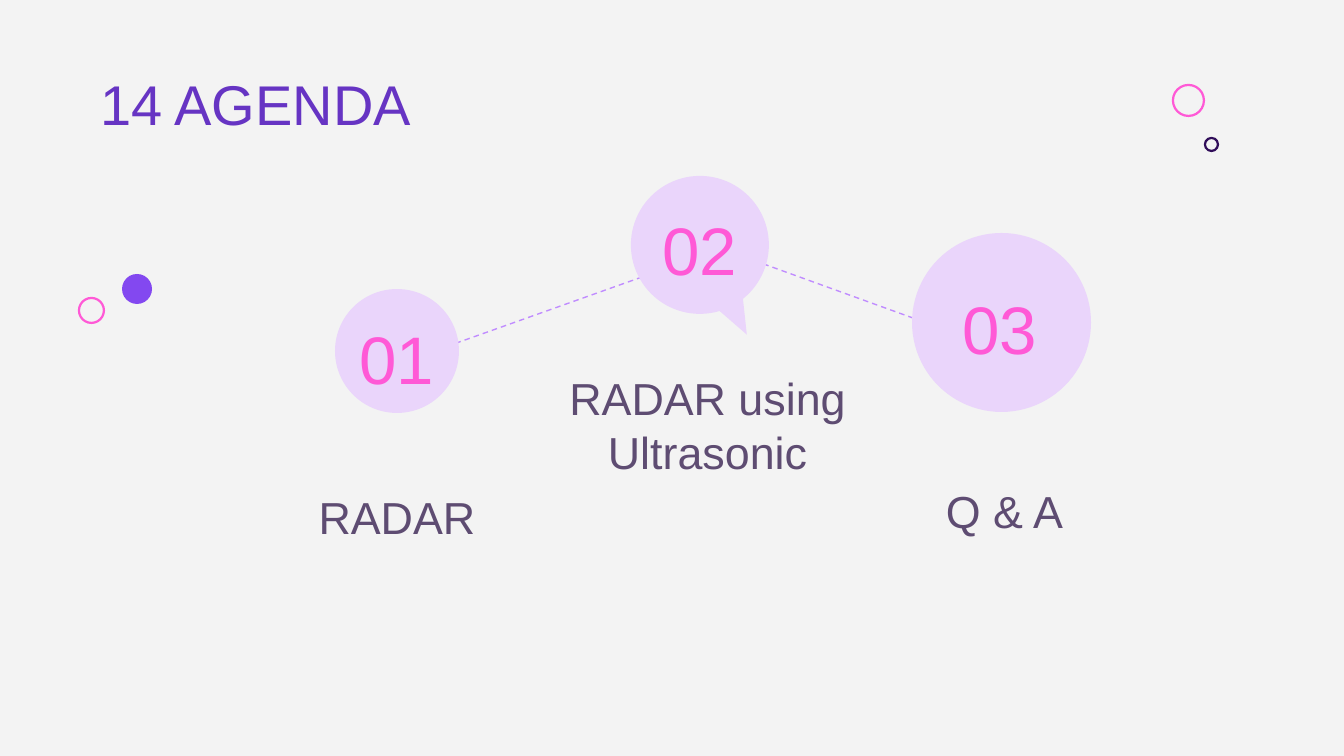
import collections
import dataclasses

import pptx
import pptx.dml.color
import pptx.enum.dml
import pptx.enum.shapes
import pptx.enum.text
import pptx.oxml.ns
import pptx.util
from lxml import etree

EMU_PER_PX = 914400 / 134.4
INSET = 13

Box = collections.namedtuple("Box", "left top width height")
Step = collections.namedtuple("Step", "number label circle number_box label_box tail")

SHAPE = pptx.enum.shapes.MSO_SHAPE
ANCHOR = pptx.enum.text.MSO_ANCHOR
ALIGN = pptx.enum.text.PP_ALIGN


@dataclasses.dataclass(frozen=True)
class Theme:
    font: str = "Arial"
    background: str = "F3F3F3"
    title: str = "6634C3"
    label: str = "5E4C72"
    accent: str = "FF59D6"
    bubble: str = "EAD5FB"
    link: str = "C08CFF"
    dot: str = "8348F0"
    dark: str = "300D59"
    title_size: int = 30
    label_size: int = 24
    number_size: int = 36
    link_width: float = 0.75
    ring_width: float = 1.2


THEME = Theme()

# Tail: offset of its tip from the circle's centre, as a share of the size.
STEPS = [
    Step("01", "RADAR", Box(335, 289, 124, 124),
         Box(9, 26, 106, 85), Box(-127, 143, 378, 125), None),
    Step("02", "RADAR using Ultrasonic", Box(631, 176, 138, 138),
         Box(-29, 30, 195, 85), Box(-127, 220, 407, 95), (0.34, 0.65)),
    Step("03", "Q & A", Box(912, 233, 179, 179),
         Box(-1, 52, 177, 85), Box(-116, 189, 417, 129), None),
]
LINKS = [((700, 241), (993, 347)), ((392, 366), (704, 255))]


def px(length):
    return pptx.util.Emu(round(length * EMU_PER_PX))


def rgb(code):
    return pptx.dml.color.RGBColor.from_string(code)


def within(box, part):
    """Turn a part placed relative to the box into page lengths."""
    return Box(box.left + part.left, box.top + part.top, part.width, part.height)


def add_words(page, box, words, size, color, align, anchor):
    frame = page.shapes.add_textbox(*map(px, box)).text_frame
    frame.word_wrap = True
    frame.vertical_anchor = anchor
    frame.margin_left = frame.margin_right = px(INSET)
    frame.margin_top = frame.margin_bottom = px(INSET)
    frame.text = words
    para = frame.paragraphs[0]
    para.alignment = align
    font = para.runs[0].font
    font.name, font.size = THEME.font, pptx.util.Pt(size)
    font.color.rgb = rgb(color)


def add_circle(page, box, fill=None, line=None, kind=SHAPE.OVAL):
    circle = page.shapes.add_shape(kind, *map(px, box))
    circle.shadow.inherit = False
    if fill:
        circle.fill.solid()
        circle.fill.fore_color.rgb = rgb(fill)
    else:
        circle.fill.background()
    if line:
        circle.line.color.rgb = rgb(line)
        circle.line.width = pptx.util.Pt(THEME.ring_width)
    else:
        circle.line.fill.background()
    return circle


def add_link(page, start, end):
    link = page.shapes.add_connector(
        pptx.enum.shapes.MSO_CONNECTOR.STRAIGHT, *map(px, start + end))
    link.line.color.rgb = rgb(THEME.link)
    link.line.width = pptx.util.Pt(THEME.link_width)
    link.line.dash_style = pptx.enum.dml.MSO_LINE.DASH
    etree.SubElement(link._element.spPr, pptx.oxml.ns.qn("a:effectLst"))


def add_step(page, box, step):
    """Place a bubble in the box, with its number and label around it."""
    kind = SHAPE.OVAL_CALLOUT if step.tail else SHAPE.OVAL
    bubble = add_circle(page, box, fill=THEME.bubble, kind=kind)
    if step.tail:
        bubble.adjustments[0], bubble.adjustments[1] = step.tail
    add_words(page, within(box, step.label_box), step.label, THEME.label_size,
              THEME.label, ALIGN.CENTER, ANCHOR.BOTTOM)
    add_words(page, within(box, step.number_box), step.number, THEME.number_size,
              THEME.accent, ALIGN.CENTER, ANCHOR.MIDDLE)


def add_right_ornament(page, box):
    add_circle(page, within(box, Box(0, 0, 31, 31)), line=THEME.accent)
    add_circle(page, within(box, Box(32, 53, 13, 13)), line=THEME.dark)


def add_left_ornament(page, box):
    add_circle(page, within(box, Box(43, 0, 30, 30)), fill=THEME.dot)
    add_circle(page, within(box, Box(0, 24, 25, 25)), line=THEME.accent)


def add_title(page, box):
    add_words(page, box, "14 AGENDA", THEME.title_size, THEME.title,
              ALIGN.LEFT, ANCHOR.TOP)


def build_agenda(page):
    page.background.fill.solid()
    page.background.fill.fore_color.rgb = rgb(THEME.background)
    add_right_ornament(page, Box(1173, 85, 46, 67))
    add_left_ornament(page, Box(79, 274, 73, 50))
    for start, end in LINKS:
        add_link(page, start, end)
    add_title(page, Box(87, 57, 989, 95))
    for step in STEPS:
        add_step(page, step.circle, step)


def main():
    deck = pptx.Presentation()
    deck.slide_width, deck.slide_height = px(1344), px(756)
    build_agenda(deck.slides.add_slide(deck.slide_layouts[6]))
    deck.save("out.pptx")


if __name__ == "__main__":
    main()
